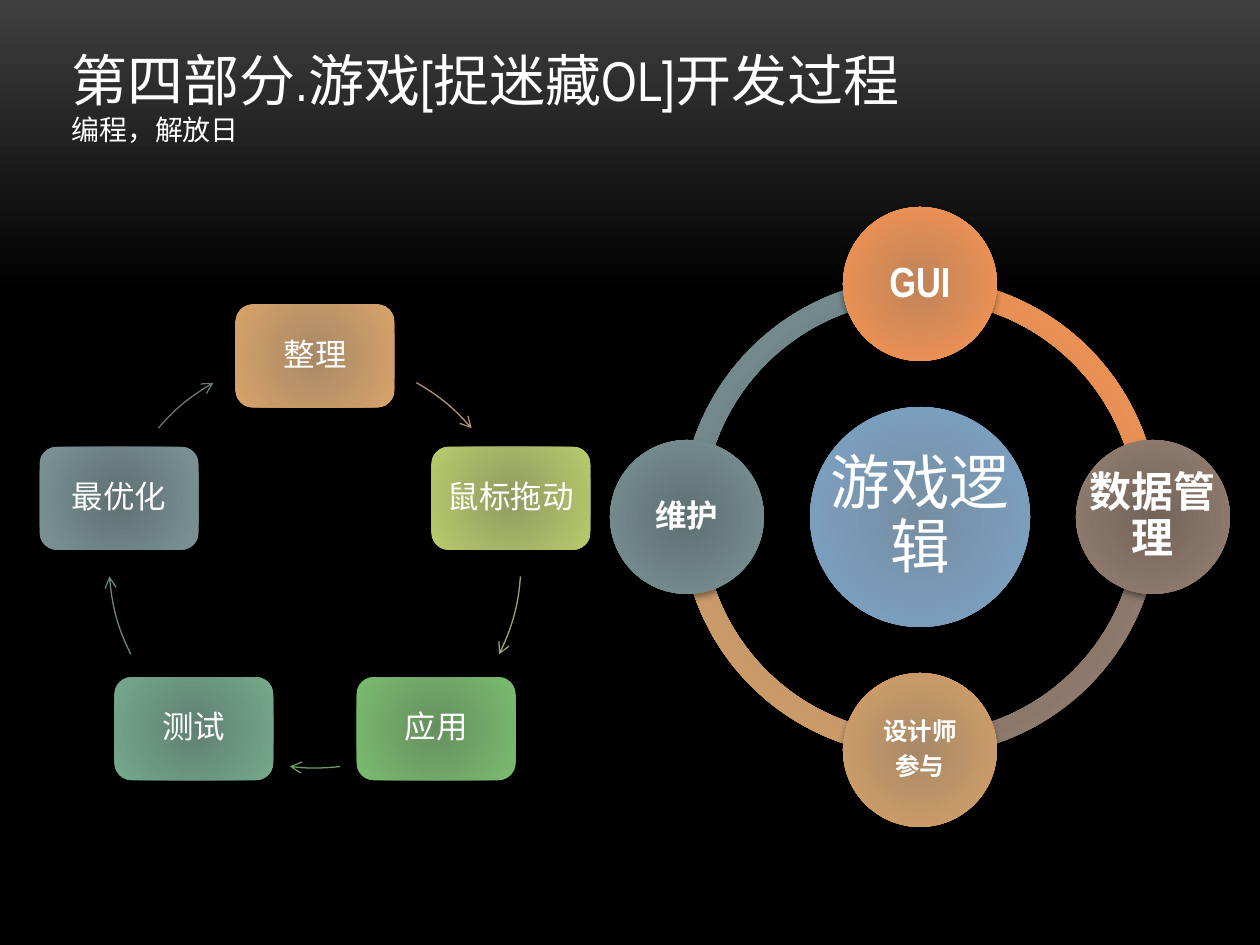
import math

import lxml.etree
import pptx
import pptx.dml.color
import pptx.enum.shapes
import pptx.enum.text
import pptx.oxml.ns
import pptx.util

RGB = pptx.dml.color.RGBColor
SHAPE = pptx.enum.shapes.MSO_SHAPE
ALIGN = pptx.enum.text.PP_ALIGN
ANCHOR = pptx.enum.text.MSO_ANCHOR
qn = pptx.oxml.ns.qn

EMU_PER_PX = 914400 / 126
FONT = "Arial Narrow"
ADJ_PER_DEGREE = 0.6  # angle adjustments: 60000 per degree, scaled by 100000

WHITE = RGB(0xFF, 0xFF, 0xFF)
BLACK = RGB(0x00, 0x00, 0x00)
CHARCOAL = RGB(0x3F, 0x3F, 0x3F)

# Radial fills: (middle, edge)
SAND = (RGB(0xA8, 0x89, 0x66), RGB(0xD9, 0xA3, 0x6A))
LIME = (RGB(0x91, 0x9C, 0x62), RGB(0xB8, 0xCB, 0x6C))
GREEN = (RGB(0x67, 0x90, 0x60), RGB(0x7A, 0xBC, 0x6F))
JADE = (RGB(0x60, 0x81, 0x71), RGB(0x75, 0xA9, 0x8E))
SLATE = (RGB(0x60, 0x70, 0x73), RGB(0x7B, 0x93, 0x97))
ORANGE = (RGB(0xBE, 0x84, 0x59), RGB(0xFC, 0x95, 0x53))
BROWN = (RGB(0x72, 0x63, 0x59), RGB(0x98, 0x82, 0x74))
BLUE = (RGB(0x75, 0x8D, 0xA1), RGB(0x7F, 0xA6, 0xCA))

# Steps: label, fill, arrow colour, arrow start and end in degrees past the step
STEPS = [
    ("整理", SAND, RGB(0xB4, 0x93, 0x6D), 29.5, 49.5),
    ("鼠标拖动", LIME, RGB(0x9C, 0xA8, 0x69), 22, 44.6),
    ("应用", GREEN, RGB(0x6F, 0x9B, 0x67), 29, 43),
    ("测试", JADE, RGB(0x67, 0x8B, 0x79), 27.4, 50),
    ("最优化", SLATE, RGB(0x67, 0x78, 0x7B), 22.5, 42.5),
]
# Modules around the core: lines, fill, text size, inset
MODULES = [
    (["GUI"], ORANGE, 24, 4),
    (["数据管理"], BROWN, 24, 4),
    (["设计师", "参与"], SAND, 14, 3),
    (["维护"], SLATE, 18, 4),
]


def px(value):
    return pptx.util.Emu(round(value * EMU_PER_PX))


def centred(x, y, width, height):
    """Frame of the given size around a centre point."""
    return px(x - width / 2), px(y - height / 2), px(width), px(height)


def on_circle(x, y, radius, degrees):
    angle = math.radians(degrees)
    return x + radius * math.cos(angle), y + radius * math.sin(angle)


def add_xml(parent, tag, **attributes):
    child = lxml.etree.SubElement(parent, qn(tag))
    for name, value in attributes.items():
        child.set(name, str(value))
    return child


def fill_gradient(fill, element, stops):
    """Replace the default stops; returns the gradient for its direction."""
    fill.gradient()
    gradient = element.find(".//" + qn("a:gradFill"))
    for child in list(gradient):
        gradient.remove(child)
    stop_list = add_xml(gradient, "a:gsLst")
    for percent, color in stops:
        stop = add_xml(stop_list, "a:gs", pos=percent * 1000)
        add_xml(stop, "a:srgbClr", val=color)
    return gradient


def add_solid(group, preset, frame, colors, adjustments=()):
    """Shape with a radial fill and a soft shadow below."""
    shape = group.shapes.add_shape(preset, *frame)
    for index, value in enumerate(adjustments):
        shape.adjustments[index] = value
    shape.line.fill.background()
    gradient = fill_gradient(shape.fill, shape.element, zip((0, 100), colors))
    circle = add_xml(gradient, "a:path", path="circle")
    add_xml(circle, "a:fillToRect", l=100000, t=100000, r=100000, b=100000)

    shape.shadow.inherit = False
    effects = shape.element.spPr.find(qn("a:effectLst"))
    shadow = add_xml(effects, "a:outerShdw", blurRad=pptx.util.Pt(4),
                     dist=pptx.util.Pt(2), dir=90 * 60000, rotWithShape=0)
    color = add_xml(shadow, "a:srgbClr", val=BLACK)
    add_xml(color, "a:alpha", val=40000)


def add_text(parent, frame, lines, sizes, bold=False, align=ALIGN.CENTER,
             anchor=ANCHOR.MIDDLE, inset=None, line_spacing=0.9, space_after=5):
    box = parent.shapes.add_textbox(*frame)
    text = box.text_frame
    text.word_wrap = True
    text.vertical_anchor = anchor
    if inset is not None:
        text.margin_left = text.margin_right = px(inset)
        text.margin_top = text.margin_bottom = px(inset)
    for index, (line, size) in enumerate(zip(lines, sizes)):
        para = text.paragraphs[0] if index == 0 else text.add_paragraph()
        para.alignment = align
        para.line_spacing = line_spacing
        para.space_after = pptx.util.Pt(space_after)
        span = para.add_run()
        span.text = line
        span.font.name = FONT
        span.font.size = pptx.util.Pt(size)
        span.font.bold = bold
        span.font.color.rgb = WHITE
    return box


def add_arc_arrow(group, frame, start, end, color):
    arc = group.shapes.add_shape(SHAPE.ARC, *frame)
    arc.adjustments[0] = start % 360 * ADJ_PER_DEGREE
    arc.adjustments[1] = end % 360 * ADJ_PER_DEGREE
    arc.fill.background()
    arc.shadow.inherit = False
    arc.line.color.rgb = color
    arc.line.width = pptx.util.Pt(0.75)
    add_xml(arc.line._get_or_add_ln(), "a:tailEnd", type="arrow")


def add_step_cycle(page):
    group = page.shapes.add_group_shape()
    x, y, radius = 315, 562, 206
    for index, (label, colors, arrow_color, start, end) in enumerate(STEPS):
        angle = -90 + index * 360 / len(STEPS)
        frame = centred(*on_circle(x, y, radius, angle), 159, 103)
        add_solid(group, SHAPE.ROUNDED_RECTANGLE, frame, colors)
        add_text(group, frame, [label], [18], inset=9)
        add_arc_arrow(group, centred(x, y, 2 * radius, 2 * radius),
                      angle + start, angle + end, arrow_color)


def add_module_ring(page):
    group = page.shapes.add_group_shape()
    x, y, radius = 920, 517, 233
    step = 360 / len(MODULES)

    # Ring segments, the last one at the back
    for index, module in reversed(list(enumerate(MODULES))):
        start = (-90 + index * step) % 360
        end = (start + step) % 360
        add_solid(group, SHAPE.BLOCK_ARC, centred(x, y, 478, 478), module[1],
                  (start * ADJ_PER_DEGREE, end * ADJ_PER_DEGREE, 0.046))

    # Core
    core = centred(x, y, 220, 220)
    add_solid(group, SHAPE.OVAL, core, BLUE)
    add_text(group, core, ["游戏逻辑"], [34], inset=6)

    # Modules
    for index, (lines, colors, size, inset) in enumerate(MODULES):
        frame = centred(*on_circle(x, y, radius, -90 + index * step), 154, 154)
        add_solid(group, SHAPE.OVAL, frame, colors)
        add_text(group, frame, lines, [size] * len(lines), bold=True, inset=inset)


def main():
    deck = pptx.Presentation()
    deck.slide_width, deck.slide_height = px(1260), px(945)
    page = deck.slides.add_slide(deck.slide_layouts[6])

    # Background, dark grey fading to black
    gradient = fill_gradient(page.background.fill, page.element,
                             [(0, CHARCOAL), (31, BLACK), (100, BLACK)])
    add_xml(gradient, "a:lin", ang=90 * 60000, scaled=0)

    add_step_cycle(page)
    add_module_ring(page)

    # Title and subtitle
    title = add_text(page, (px(59), px(39), px(1131), px(115)),
                     ["第四部分.游戏[捉迷藏OL]开发过程", "编程，解放日"], [32, 16],
                     align=ALIGN.LEFT, anchor=ANCHOR.TOP,
                     line_spacing=1.0, space_after=0)
    title.text_frame.auto_size = pptx.enum.text.MSO_AUTO_SIZE.SHAPE_TO_FIT_TEXT

    deck.save("out.pptx")


if __name__ == "__main__":
    main()
